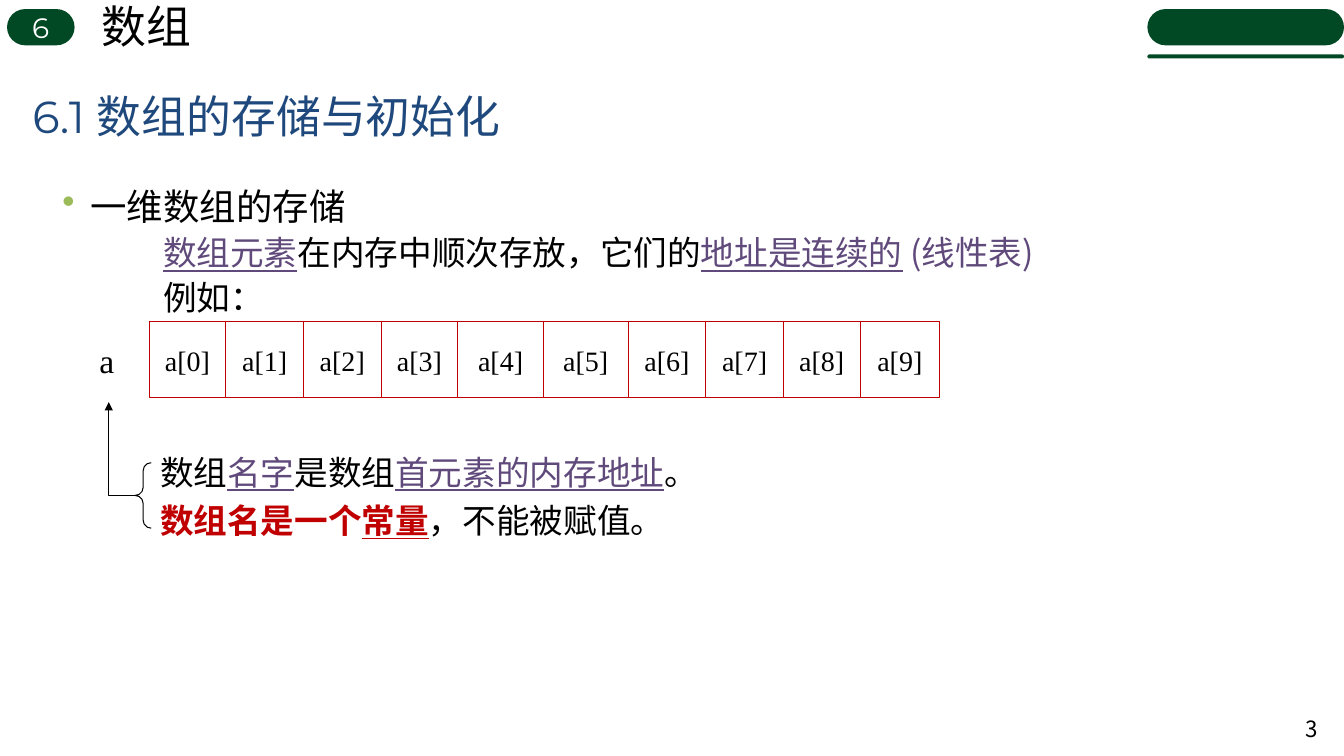
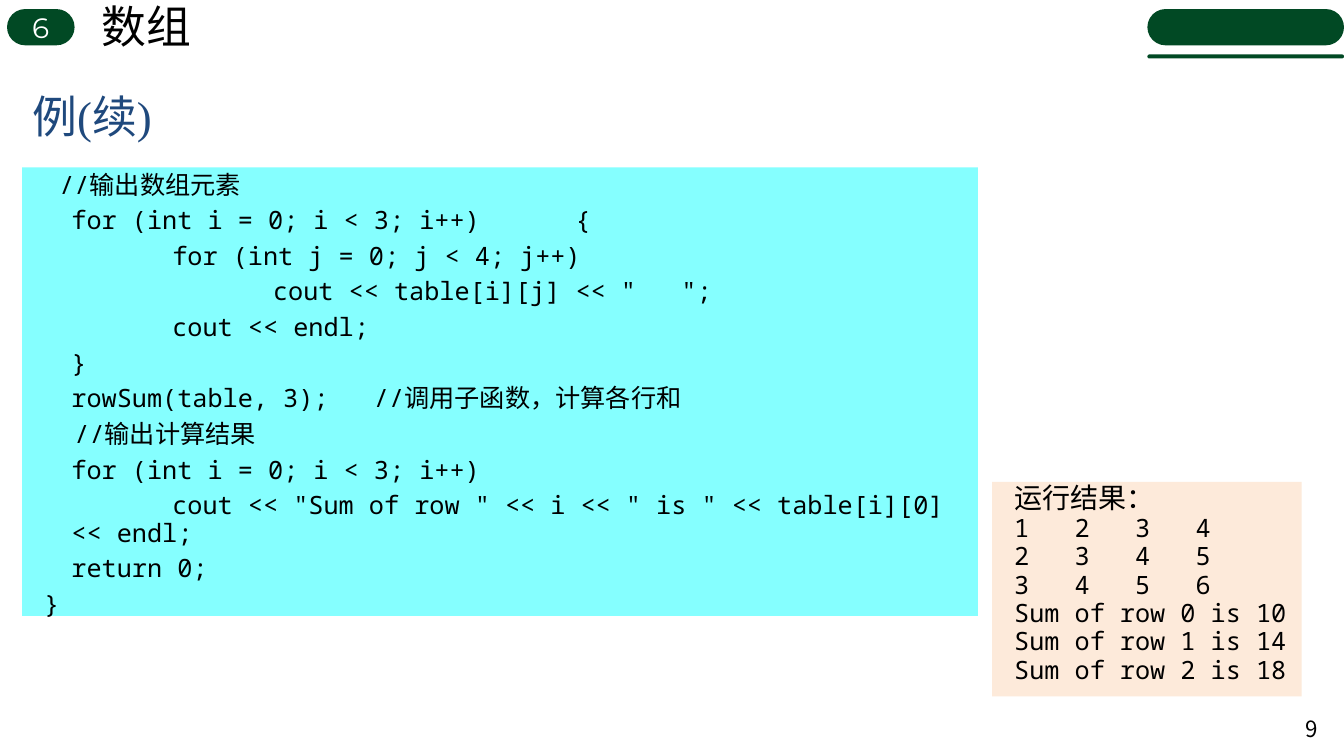
from dataclasses import dataclass
from itertools import pairwise
from typing import Optional

from pptx import Presentation
from pptx.dml.color import RGBColor
from pptx.enum.shapes import MSO_CONNECTOR, MSO_SHAPE
from pptx.enum.text import MSO_ANCHOR, MSO_AUTO_SIZE, PP_ALIGN
from pptx.oxml.ns import qn
from pptx.oxml.xmlchemy import OxmlElement
from pptx.util import Inches, Pt

GREEN = RGBColor(0x01, 0x49, 0x24)
BLUE = RGBColor(0x1F, 0x49, 0x7D)
PURPLE = RGBColor(0x60, 0x4A, 0x7B)
RED = RGBColor(0xC0, 0x00, 0x00)
OLIVE = RGBColor(0x9B, 0xBB, 0x59)
CYAN = RGBColor(0x85, 0xFF, 0xFF)
PEACH = RGBColor(0xFD, 0xEA, 0xDA)
BLACK = RGBColor(0x00, 0x00, 0x00)
WHITE = RGBColor(0xFF, 0xFF, 0xFF)

ARIAL, MONTSERRAT, TIMES = "Arial", "Montserrat", "Times New Roman"
CJK, MONO = "Noto Sans CJK SC", "Noto Sans Mono"

LEFT, CENTER, RIGHT = PP_ALIGN.LEFT, PP_ALIGN.CENTER, PP_ALIGN.RIGHT
TOP, MIDDLE = MSO_ANCHOR.TOP, MSO_ANCHOR.MIDDLE
RECTANGLE, ROUNDED = MSO_SHAPE.RECTANGLE, MSO_SHAPE.ROUNDED_RECTANGLE
LEFT_BRACE = MSO_SHAPE.LEFT_BRACE
STRAIGHT, ELBOW = MSO_CONNECTOR.STRAIGHT, MSO_CONNECTOR.ELBOW

CELL_EDGES = (1.48, 2.24, 3.01, 3.78, 4.54, 5.39, 6.23, 7, 7.77, 8.53, 9.32)
CELL_TOP, CELL_BOTTOM = 3.19, 3.94

CODE = (
    " //输出数组元素",
    "\tfor (int i = 0; i < 3; i++)\t{",
    "\t\tfor (int j = 0; j < 4; j++)",
    "\t\t\tcout << table[i][j] << \"   \";",
    "\t\tcout << endl;",
    "\t}",
    "\trowSum(table, 3);\t//调用子函数，计算各行和",
    "  //输出计算结果",
    "\tfor (int i = 0; i < 3; i++)",
    "\t\tcout << \"Sum of row \" << i << \" is \" << table[i][0] << endl;",
    "\treturn 0;",
    "}",
)
RESULTS = (
    "1   2   3   4",
    "2   3   4   5",
    "3   4   5   6",
    "Sum of row 0 is 10",
    "Sum of row 1 is 14",
    "Sum of row 2 is 18",
)


@dataclass(frozen=True)
class Span:
    text: str
    size: float = 24
    font: str = ARIAL
    color: RGBColor = BLACK
    bold: bool = False
    underline: bool = False


@dataclass(frozen=True)
class Para:
    spans: tuple[Span, ...]
    align: PP_ALIGN = LEFT
    margin: float = 0
    indent: float = 0
    line: float = 1
    before: float = 0
    after: float = 0
    bullet: Optional[RGBColor] = None


def key_term(text: str, color: RGBColor = PURPLE, bold: bool = False) -> Span:
    return Span(text, font=CJK, color=color, bold=bold, underline=True)


def add_bullet(properties, color: RGBColor) -> None:
    bullet_color = OxmlElement("a:buClr")
    value = OxmlElement("a:srgbClr")
    value.set("val", str(color))
    bullet_color.append(value)
    character = OxmlElement("a:buChar")
    character.set("char", "•")
    properties.extend([bullet_color, character])


def write(frame, paras: list[Para], anchor: MSO_ANCHOR = TOP, wrap: bool = True) -> None:
    frame.word_wrap = wrap
    frame.auto_size = MSO_AUTO_SIZE.NONE
    frame.vertical_anchor = anchor
    for index, para in enumerate(paras):
        paragraph = frame.add_paragraph() if index else frame.paragraphs[0]
        properties = paragraph._p.get_or_add_pPr()
        properties.set("marL", str(Inches(para.margin)))
        properties.set("indent", str(Inches(para.indent)))
        properties.set("defTabSz", str(Inches(1)))
        if para.bullet is not None:
            add_bullet(properties, para.bullet)
        paragraph.alignment = para.align
        paragraph.line_spacing = para.line
        paragraph.space_before = Pt(para.before if index else 0)
        paragraph.space_after = Pt(para.after)
        for span in para.spans:
            run = paragraph.add_run()
            run.text = span.text
            run.font.size = Pt(span.size)
            run.font.name = span.font
            run.font.color.rgb = span.color
            run.font.bold = span.bold
            run.font.underline = span.underline
            east_asian = OxmlElement("a:ea")
            east_asian.set("typeface", CJK)
            run._r.get_or_add_rPr().append(east_asian)


def add_text(page, left: float, top: float, width: float, height: float,
             paras: list[Para], anchor: MSO_ANCHOR = TOP, wrap: bool = True) -> None:
    box = page.shapes.add_textbox(Inches(left), Inches(top), Inches(width), Inches(height))
    write(box.text_frame, paras, anchor, wrap)


def add_shape(page, kind: MSO_SHAPE, left: float, top: float, width: float, height: float,
              fill: Optional[RGBColor] = None, line: Optional[RGBColor] = None):
    shape = page.shapes.add_shape(kind, Inches(left), Inches(top), Inches(width), Inches(height))
    shape.shadow.inherit = False
    if fill is None:
        shape.fill.background()
    else:
        shape.fill.solid()
        shape.fill.fore_color.rgb = fill
    if line is None:
        shape.line.fill.background()
    else:
        shape.line.color.rgb = line
        shape.line.width = Pt(0.75)
    return shape


def add_pill(page, left: float, top: float, width: float, height: float):
    pill = add_shape(page, ROUNDED, left, top, width, height, fill=GREEN)
    pill.adjustments[0] = 0.5
    return pill


def add_line(page, kind: MSO_CONNECTOR, start: tuple[float, float],
             end: tuple[float, float], color: RGBColor):
    line = page.shapes.add_connector(kind, *map(Inches, start + end))
    line.line.color.rgb = color
    line.line.width = Pt(0.75)
    line._element.spPr.append(OxmlElement("a:effectLst"))
    return line


def add_page(deck, title: Span, number: int):
    """Add a page with the shared chapter band, title and page number."""
    page = deck.slides.add_slide(deck.slide_layouts[5])
    heading = page.shapes.title
    heading.left, heading.top = Inches(0.22), Inches(0.86)
    heading.width, heading.height = Inches(7.04), Inches(0.64)
    write(heading.text_frame, [Para((title,), line=0.9)], MIDDLE)

    # Chapter band
    badge = add_pill(page, 0.07, 0.09, 0.67, 0.36)
    chapter = Span("6", 20, MONTSERRAT, WHITE)
    write(badge.text_frame, [Para((chapter,), CENTER)], MIDDLE)
    add_text(page, 0.91, -0.06, 2, 0.64, [Para((Span("数组", 32),))])
    add_pill(page, 11.38, 0.09, 1.95, 0.36)
    add_pill(page, 11.38, 0.54, 1.95, 0.04)

    # Page number
    add_text(page, 12.68, 7.03, 0.49, 0.4,
             [Para((Span(str(number), 16, CJK),), RIGHT)], MIDDLE)
    return page


def add_label(page, center: float, text: str, size: float) -> None:
    width = 0.65
    add_text(page, center - width / 2, 3.35, width, 0.44,
             [Para((Span(text, size, TIMES),), CENTER)], MIDDLE, wrap=False)


def build_storage_page(deck) -> None:
    page = add_page(deck, Span("6.1 数组的存储与初始化", 32, MONTSERRAT, BLUE), 3)
    add_text(page, 0.4, 1.78, 11.93, 1.4, [
        Para((Span("一维数组的存储", 26),), margin=0.4, indent=-0.28, bullet=OLIVE),
        Para((Span("\t"), key_term("数组元素"), Span("在内存中顺次存放，它们的"),
              key_term("地址是连续的"), Span(" (线性表)", font=CJK, color=PURPLE)),
             margin=0.12, before=3),
        Para((Span("\t例如："),), margin=0.12, before=3),
    ])

    # Memory cells
    add_shape(page, RECTANGLE, CELL_EDGES[0], CELL_TOP, CELL_EDGES[-1] - CELL_EDGES[0],
              CELL_BOTTOM - CELL_TOP, line=RED)
    for edge in CELL_EDGES[1:-1]:
        add_line(page, STRAIGHT, (edge, CELL_TOP), (edge, CELL_BOTTOM), RED)
    for index, (left, right) in enumerate(pairwise(CELL_EDGES)):
        add_label(page, (left + right) / 2, f"a[{index}]", 20)
    add_label(page, 1.06, "a", 24)

    # Meaning of the array name
    add_text(page, 0.55, 4.35, 7.87, 1.02, [
        Para((Span("数组"), key_term("名字"), Span("是数组"),
              key_term("首元素的内存地址"), Span("。")), indent=0.94, line=1.2),
        Para((Span("数组名是一个", color=RED, bold=True), key_term("常量", RED, True),
              Span("，不能被赋值。")), indent=0.94, line=1.2),
    ])
    brace = add_shape(page, LEFT_BRACE, 1.34, 4.59, 0.16, 0.65, line=BLACK)
    brace.adjustments[0] = 0.5
    arrow = add_line(page, ELBOW, (1.34, 4.92), (1.08, 3.99), BLACK)
    arrow._element.spPr.find(qn("a:prstGeom")).set("prst", "bentConnector2")
    head = OxmlElement("a:tailEnd")
    head.set("type", "triangle")
    arrow.line._get_or_add_ln().append(head)


def build_code_page(deck) -> None:
    page = add_page(deck, Span("例(续)", 32, TIMES, BLUE), 9)

    # Program
    program = add_shape(page, RECTANGLE, 0.22, 1.66, 9.48, 4.45, fill=CYAN)
    write(program.text_frame, [
        Para((Span(text, 18, MONO),), margin=0.39, indent=-0.27, line=0.9, after=6)
        for text in CODE
    ])

    # Program output
    output = add_shape(page, RECTANGLE, 9.84, 4.78, 3.07, 2.13, fill=PEACH)
    lines = [Span("运行结果：", 20, CJK)] + [Span(text, 18, MONO) for text in RESULTS]
    write(output.text_frame, [
        Para((line,), margin=0.4, indent=-0.28, line=0.8, before=3) for line in lines
    ])


def main() -> None:
    deck = Presentation()
    deck.slide_width, deck.slide_height = Inches(13.33), Inches(7.5)
    build_storage_page(deck)
    build_code_page(deck)
    deck.save("out.pptx")


if __name__ == "__main__":
    main()
